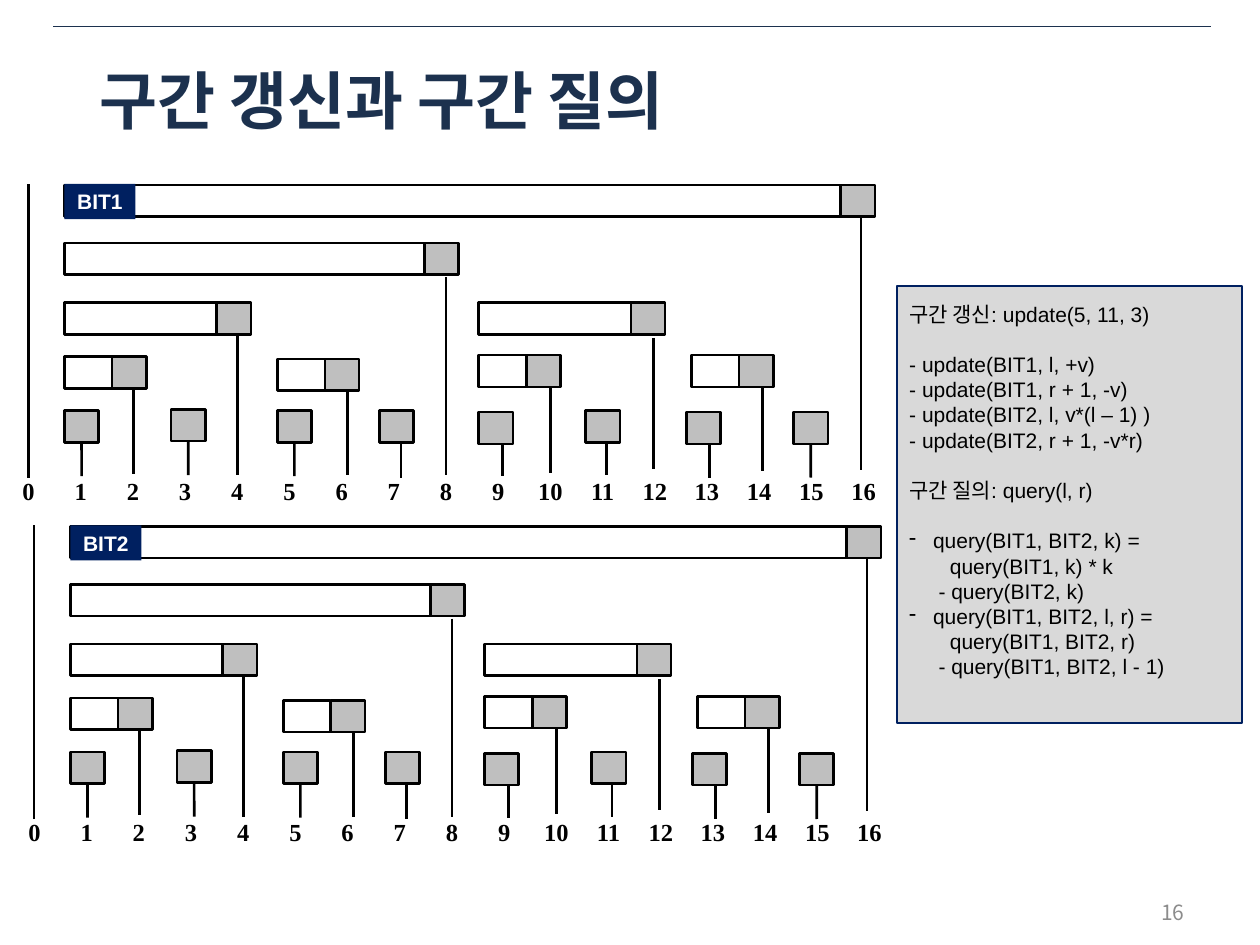
from typing import NamedTuple, Optional

from lxml import etree
from pptx import Presentation
from pptx.dml.color import RGBColor
from pptx.enum.shapes import MSO_CONNECTOR, MSO_SHAPE
from pptx.enum.text import MSO_ANCHOR, PP_ALIGN
from pptx.oxml.ns import qn
from pptx.util import Cm, Pt

RECT = MSO_SHAPE.RECTANGLE
STRAIGHT = MSO_CONNECTOR.STRAIGHT
TOP, MIDDLE = MSO_ANCHOR.TOP, MSO_ANCHOR.MIDDLE
LEFT, CENTER, RIGHT = PP_ALIGN.LEFT, PP_ALIGN.CENTER, PP_ALIGN.RIGHT

WHITE = RGBColor(0xFF, 0xFF, 0xFF)
BLACK = RGBColor(0, 0, 0)
INK = RGBColor(0x1C, 0x31, 0x4E)
NAVY = RGBColor(0, 0x20, 0x60)
GRAY = RGBColor(0xBF, 0xBF, 0xBF)
PALE = RGBColor(0xD9, 0xD9, 0xD9)
DIM = RGBColor(0x8C, 0x8C, 0x8C)

SANS, SERIF, KOREAN = "Arial", "Times New Roman", "Noto Sans CJK KR"
SIDE, HIGH = 0.69, 0.64  # size of a gray end cell, in cm


class Node(NamedTuple):
    """A tree range in cm; without a foot its stem is centred and joined."""
    left: float
    top: float
    body: float
    end: float
    foot: Optional[float] = None
    gap: float = 0


class Tree(NamedTuple):
    name: str
    dx: float
    dy: float


class Line(NamedTuple):
    text: str
    margin: float = 0
    bullet: bool = False
    before: float = 0


NODES = [
    Node(1.3, 8.28, 0, 9.6),
    Node(1.3, 7.19, 0.96, 9.55, 2.69),
    Node(3.45, 8.25, 0, 9.58),
    Node(1.3, 6.1, 3.07, 9.58, 4.79),
    Node(5.59, 8.28, 0, 9.6),
    Node(5.59, 7.24, 0.96, 9.58, 7.01),
    Node(7.65, 8.28, 0, 9.63, 8.08, 0.03),
    Node(1.3, 4.9, 7.26, 9.58, 8.99, 0.05),
    Node(9.65, 8.31, 0, 9.6, 10.13),
    Node(9.65, 7.16, 0.96, 9.53, 11.1),
    Node(11.81, 8.28, 0, 9.58, 12.22),
    Node(9.65, 6.1, 3.07, 9.45, 13.17, 0.07),
    Node(13.84, 8.31, 0, 9.63, 14.3),
    Node(13.94, 7.16, 0.96, 9.5, 15.37),
    Node(16, 8.31, 0, 9.63),
    Node(1.3, 3.73, 15.65, 9.47, 17.36),
]
TREES = [Tree("BIT1", 0, 0), Tree("BIT2", 0.12, 6.88)]
LINES = [
    Line("구간 갱신: update(5, 11, 3)"),
    Line("- update(BIT1, l, +v)", before=14.4),
    Line("- update(BIT1, r + 1, -v)"),
    Line("- update(BIT2, l, v*(l – 1) )"),
    Line("- update(BIT2, r + 1, -v*r)"),
    Line("구간 질의: query(l, r)", before=14.4),
    Line("query(BIT1, BIT2, k) =", 0.48, True, 14.4),
    Line("query(BIT1, k) * k", 0.82),
    Line("- query(BIT2, k)", 0.59),
    Line("query(BIT1, BIT2, l, r) =", 0.48, True),
    Line("query(BIT1, BIT2, r)", 0.82),
    Line("- query(BIT1, BIT2, l - 1)", 0.59),
]


def write(para, text: str, size: float, color: RGBColor, font: str = SANS,
          bold: bool = False, align=LEFT) -> None:
    para.alignment = align
    run = para.add_run()
    run.text = text
    run.font.size, run.font.bold, run.font.name = Pt(size), bold, font
    run.font.color.rgb = color
    east = etree.SubElement(run._r.get_or_add_rPr(), qn("a:ea"))
    east.set("typeface", KOREAN)


def label(slide, x: float, y: float, w: float, h: float, *style, **more) -> None:
    frame = slide.shapes.add_textbox(Cm(x), Cm(y), Cm(w), Cm(h)).text_frame
    frame.word_wrap, frame.vertical_anchor = True, MIDDLE
    write(frame.paragraphs[0], *style, **more)


def box(shapes, x: float, y: float, w: float, h: float,
        fill: Optional[RGBColor] = None, edge: Optional[RGBColor] = BLACK):
    shape = shapes.add_shape(RECT, Cm(x), Cm(y), Cm(w), Cm(h))
    shape.shadow.inherit = False
    if fill is None:
        shape.fill.background()
    else:
        shape.fill.solid()
        shape.fill.fore_color.rgb = fill
    if edge is None:
        shape.line.fill.background()
    else:
        shape.line.color.rgb = edge
        shape.line.width = Pt(1.5)
    return shape


def pad(shape, x: float, y: float):
    frame = shape.text_frame
    frame.word_wrap = True
    frame.margin_left = frame.margin_right = Cm(x)
    frame.margin_top = frame.margin_bottom = Cm(y)
    return frame


def rule(shapes, x1: float, y1: float, x2: float, y2: float,
         color: RGBColor = BLACK, width: float = 1.5):
    line = shapes.add_connector(STRAIGHT, Cm(x1), Cm(y1), Cm(x2), Cm(y2))
    line.line.color.rgb, line.line.width = color, Pt(width)
    etree.SubElement(line._element.spPr, qn("a:effectLst"))
    return line


def trim(cell) -> None:
    """Give a cell white borders, the lower one thick."""
    props = cell._tc.get_or_add_tcPr()
    for side, width in zip("LRTB", (1, 1, 1, 3)):
        edge = etree.SubElement(props, qn(f"a:ln{side}"), w=str(Pt(width)))
        fill = etree.SubElement(edge, qn("a:solidFill"))
        etree.SubElement(fill, qn("a:srgbClr"), val=str(WHITE))


def scale(slide, x: float, y: float) -> None:
    """Draw the row of index numbers under a tree."""
    count = len(NODES) + 1
    table = slide.shapes.add_table(1, count, Cm(x), Cm(y), Cm(17.9), Cm(0.66)).table
    table.first_row = table.horz_banding = False
    for i, cell in enumerate(table.rows[0].cells):
        table.columns[i].width = Cm(17.9 / count)
        trim(cell)
        cell.fill.background()
        cell.margin_left = cell.margin_right = 0
        cell.vertical_anchor = MIDDLE
        write(cell.text_frame.paragraphs[0], str(i), 14, BLACK, SERIF, True, CENTER)


def draw(slide, tree: Tree) -> None:
    scale(slide, 0.05 + tree.dx, 9.5 + tree.dy)
    shapes = slide.shapes.add_group_shape().shapes
    rule(shapes, 0.57 + tree.dx, 9.63 + tree.dy, 0.57 + tree.dx, 3.71 + tree.dy)
    for node in NODES:
        x, y = node.left + tree.dx, node.top + tree.dy
        if node.body:
            box(shapes, x, y, node.body, HIGH)
        cell = box(shapes, x + node.body, y, SIDE, HIGH, GRAY)
        foot = x + SIDE / 2 if node.foot is None else node.foot + tree.dx
        stem = rule(shapes, foot, y + HIGH + node.gap, foot, node.end + tree.dy)
        if node.foot is None:
            stem.begin_connect(cell, 2)
    tag = box(shapes, 1.3 + tree.dx, 3.71 + tree.dy, 1.43, 0.71, NAVY, None)
    frame = pad(tag, 0.1, 0.1)
    frame.vertical_anchor = MIDDLE
    write(frame.paragraphs[0], tree.name, 12, WHITE, bold=True, align=CENTER)


def panel(slide) -> None:
    frame = pad(box(slide.shapes, 18.08, 5.77, 6.96, 8.81, PALE, NAVY), 0.25, 0.3)
    frame.vertical_anchor = TOP
    for i, line in enumerate(LINES):
        para = frame.add_paragraph() if i else frame.paragraphs[0]
        para.space_before = Pt(line.before)
        write(para, line.text, 12, BLACK)
        props = para._p.get_or_add_pPr()
        props.set("marL", str(Cm(line.margin)))
        if line.bullet:
            props.set("indent", str(-Cm(line.margin)))
            etree.SubElement(props, qn("a:buChar"), char="-")


def main() -> None:
    deck = Presentation()
    deck.slide_width, deck.slide_height = Cm(25.4), Cm(19.05)
    slide = deck.slides.add_slide(deck.slide_layouts[6])
    rule(slide.shapes, 1.07, 0.53, 24.41, 0.53, INK, 0.25)
    label(slide, 18.21, 17.88, 5.92, 1.02, "16", 12, DIM, KOREAN, align=RIGHT)
    label(slide, 1.75, 1.02, 21.89, 1.98, "구간 갱신과 구간 질의", 36, INK, KOREAN, bold=True)
    for tree in TREES:
        draw(slide, tree)
    panel(slide)
    deck.save("out.pptx")


if __name__ == "__main__":
    main()
